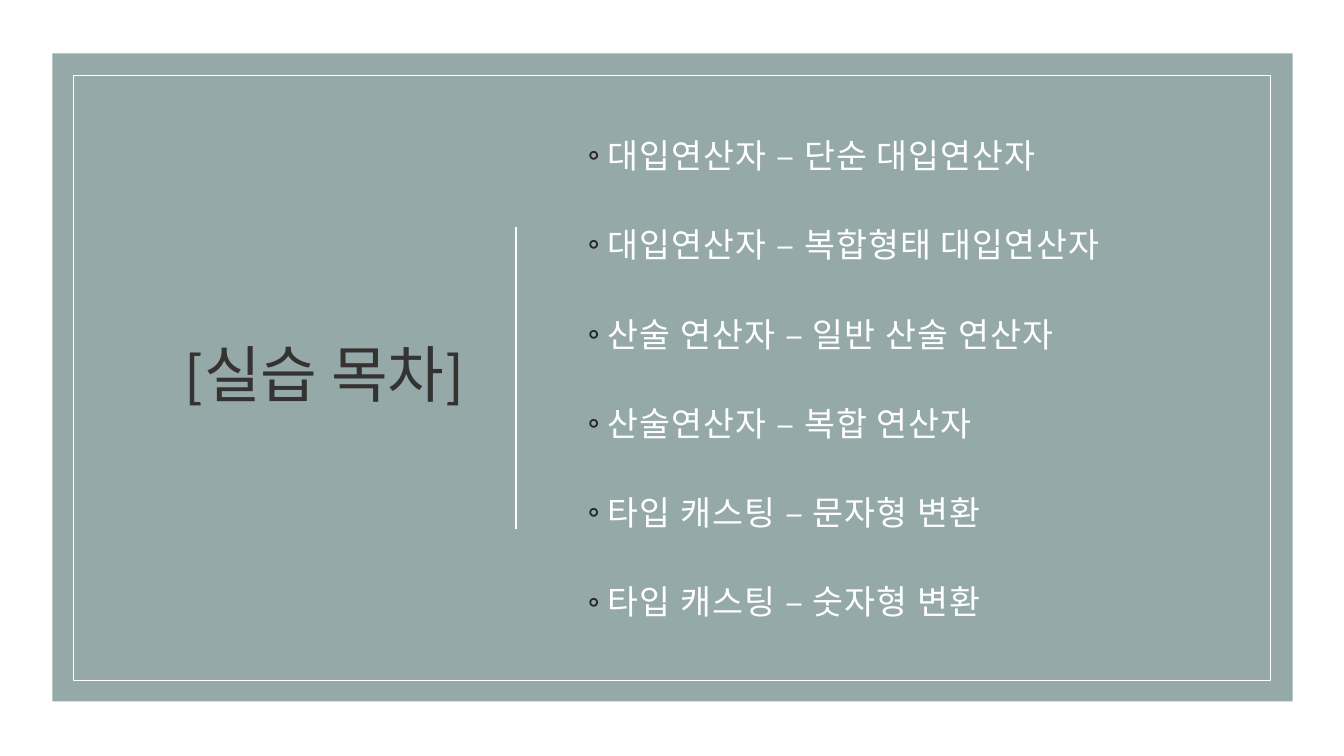
"""Build the practice contents slide: a framed title beside a bulleted list."""
from lxml import etree
from pptx import Presentation
from pptx import util as u
from pptx.dml.color import RGBColor
from pptx.enum import shapes, text
from pptx.oxml.ns import qn

HEADING = "[실습 목차]"
TOPICS = [
    "대입연산자 – 단순 대입연산자",
    "대입연산자 – 복합형태 대입연산자",
    "산술 연산자 – 일반 산술 연산자",
    "산술연산자 – 복합 연산자",
    "타입 캐스팅 – 문자형 변환",
    "타입 캐스팅 – 숫자형 변환",
]
THEME = {
    "font": "Calibri", "paper": "FFFFFF", "panel": "96A9A9", "heading": "353232",
    "topic": "FFFFFF", "rule": "FFFFFF", "bullet": "262626",
    "heading_size": 44, "topic_size": 24, "topic_line": 30, "topic_gap": 33.8,
}
PANEL = (0.52, 0.53, 12.3, 6.43)
FRAME = (0.73, 0.75, 11.87, 6)
HEADING_BOX = (1.31, 1.09, 3.39, 5.31)
TOPICS_BOX = (5.43, 1.09, 6.79, 5.31)
DIVIDER = (5.12, 2.25, 5.12, 5.25)


def color(name):
    """Return a theme colour."""
    return RGBColor.from_string(THEME[name])


def inches(box):
    """Convert a tuple of inches to lengths."""
    return [u.Inches(value) for value in box]


def add_panel(slide, box, fill=None, line=None):
    """Add a plain rectangle with an optional fill and outline."""
    panel = slide.shapes.add_shape(shapes.MSO_SHAPE.RECTANGLE, *inches(box))
    panel.shadow.inherit = False
    if fill:
        panel.fill.solid()
        panel.fill.fore_color.rgb = color(fill)
    else:
        panel.fill.background()
    if line:
        panel.line.color.rgb = color(line)
        panel.line.width = u.Pt(0.5)
    else:
        panel.line.fill.background()


def add_divider(slide, ends):
    """Add the rule between the heading and the topics."""
    divider = slide.shapes.add_connector(shapes.MSO_CONNECTOR.STRAIGHT, *inches(ends))
    divider.line.color.rgb = color("rule")
    divider.line.width = u.Pt(1.25)
    etree.SubElement(divider._element.spPr, qn("a:effectLst"))


def add_bullet(paragraph, char):
    """Give a paragraph a hanging bullet."""
    props = paragraph._p.get_or_add_pPr()
    props.set("marL", str(u.Inches(0.5)))
    props.set("indent", str(u.Inches(-0.2)))
    tint = etree.SubElement(props, qn("a:buClr"))
    etree.SubElement(tint, qn("a:srgbClr"), val=THEME["bullet"])
    etree.SubElement(props, qn("a:buFont"), typeface=THEME["font"])
    etree.SubElement(props, qn("a:buChar"), char=char)


def write(holder, lines, *, box, size, ink, align, leading, gap=0, tracking=0, bullet=None):
    """Place a placeholder in front and fill it with formatted paragraphs."""
    holder.left, holder.top, holder.width, holder.height = inches(box)
    holder._element.getparent().append(holder._element)
    frame = holder.text_frame
    frame.text = "\n".join(lines)
    frame.word_wrap = True
    frame.auto_size = text.MSO_AUTO_SIZE.NONE
    frame.vertical_anchor = text.MSO_ANCHOR.MIDDLE
    for index, paragraph in enumerate(frame.paragraphs):
        paragraph.alignment = align
        paragraph.line_spacing = leading
        paragraph.space_before = u.Pt(gap if index else 0)
        paragraph.space_after = u.Pt(0)
        if bullet:
            add_bullet(paragraph, bullet)
        for run in paragraph.runs:
            run.font.name = THEME["font"]
            run.font.size = u.Pt(size)
            run.font.color.rgb = color(ink)
            run._r.get_or_add_rPr().set("spc", str(round(tracking * 100)))


def main():
    """Assemble and save the slide."""
    deck = Presentation()
    deck.slide_width, deck.slide_height = inches((13.33, 7.5))
    slide = deck.slides.add_slide(deck.slide_layouts[0])
    slide.background.fill.solid()
    slide.background.fill.fore_color.rgb = color("paper")
    add_panel(slide, PANEL, fill="panel")
    add_divider(slide, DIVIDER)
    add_panel(slide, FRAME, line="rule")
    write(slide.shapes.title, [HEADING], box=HEADING_BOX, size=THEME["heading_size"],
          ink="heading", align=text.PP_ALIGN.RIGHT, leading=0.9)
    write(slide.placeholders[1], TOPICS, box=TOPICS_BOX, size=THEME["topic_size"],
          ink="topic", align=text.PP_ALIGN.LEFT, leading=u.Pt(THEME["topic_line"]),
          gap=THEME["topic_gap"], tracking=0.8, bullet="◦")
    deck.save("out.pptx")


if __name__ == "__main__":
    main()
